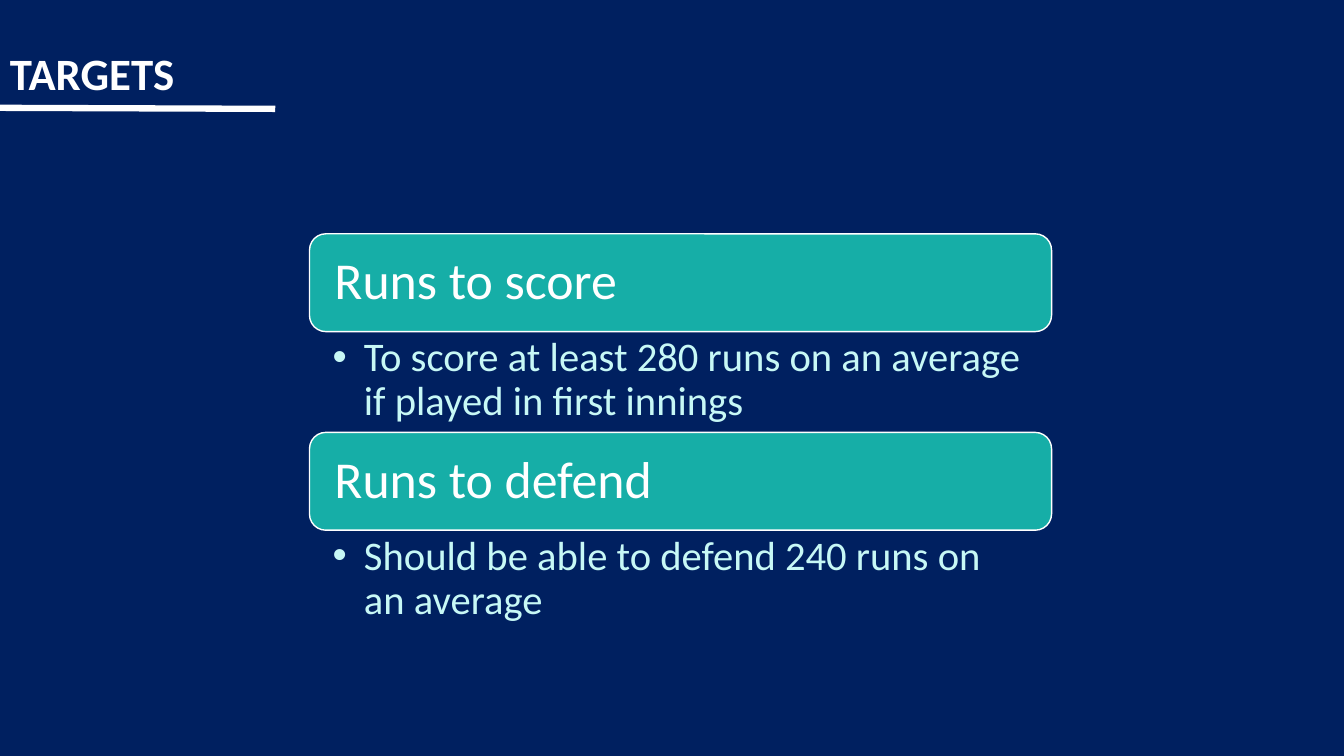
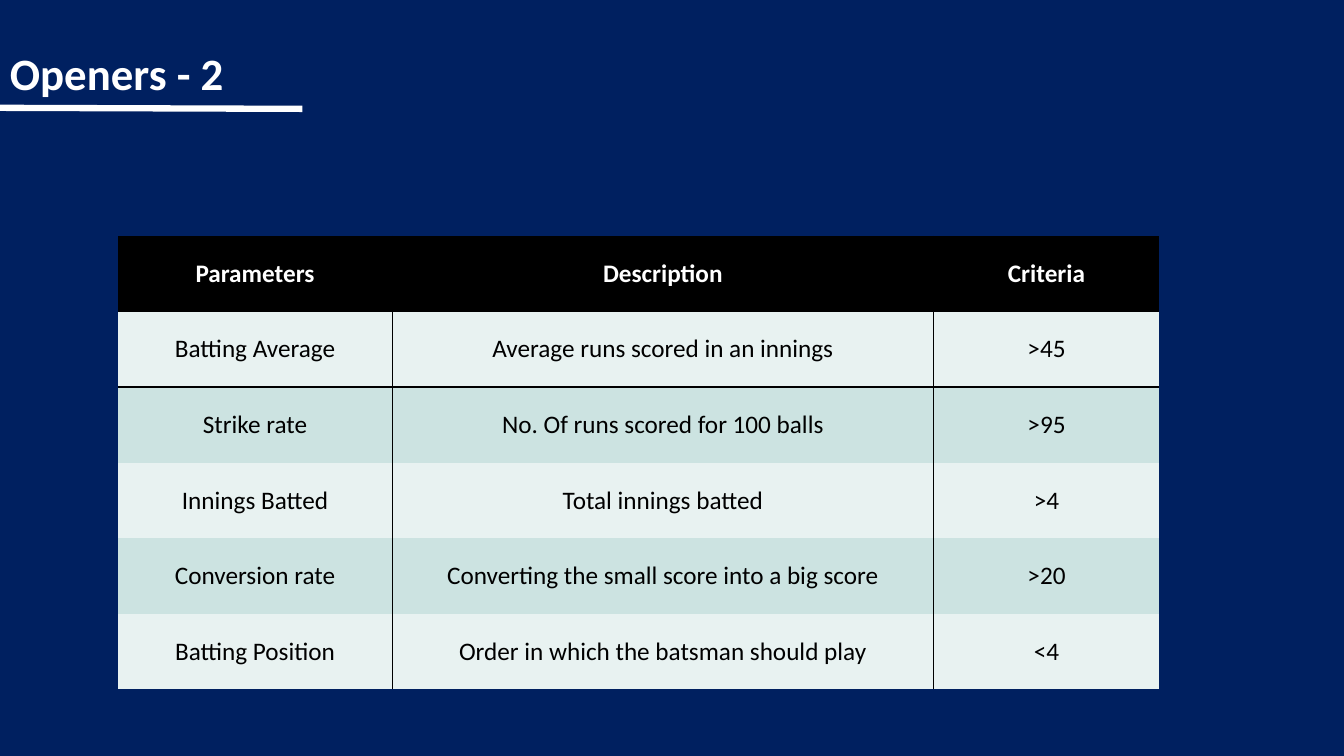
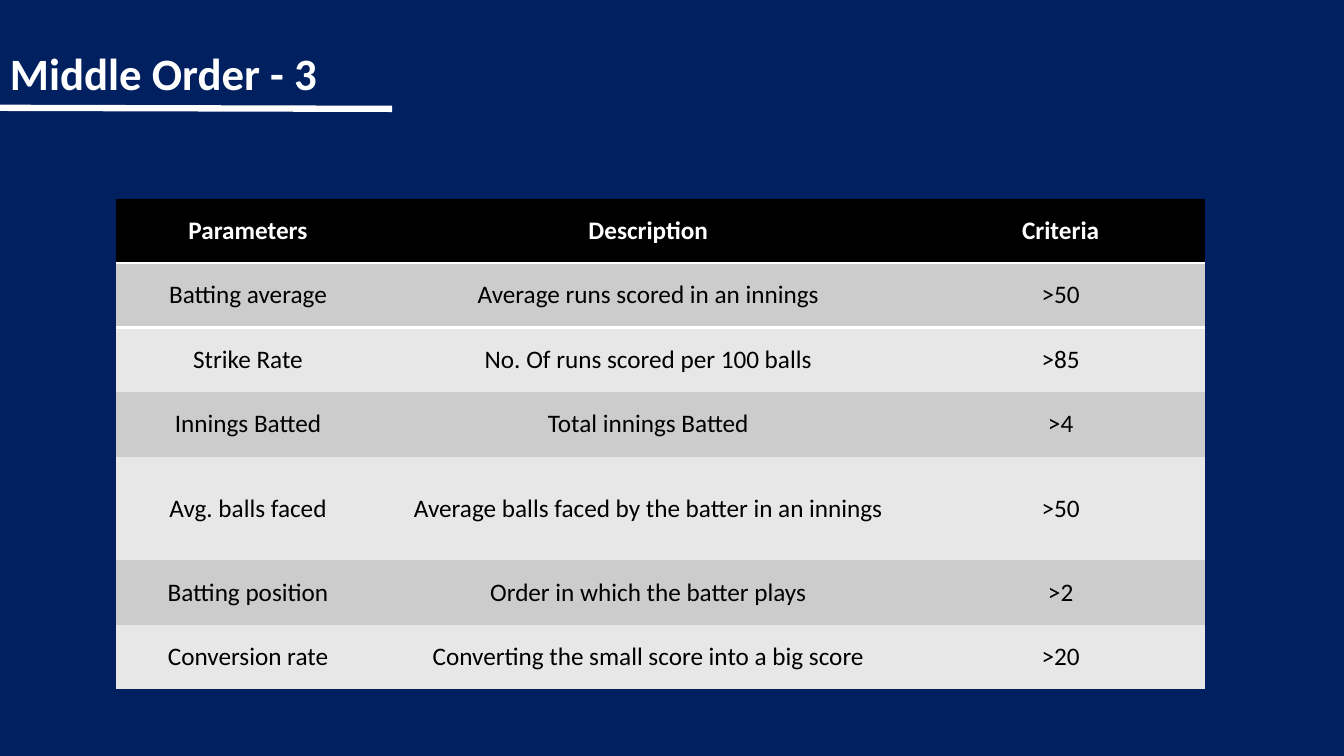
from lxml import etree
from pptx import Presentation
from pptx.dml.color import RGBColor
from pptx.enum.shapes import MSO_CONNECTOR, MSO_SHAPE
from pptx.enum.text import MSO_ANCHOR, PP_ALIGN
from pptx.oxml.ns import qn
from pptx.util import Inches, Pt

ROUNDED = MSO_SHAPE.ROUNDED_RECTANGLE
STRAIGHT = MSO_CONNECTOR.STRAIGHT
TOP, MIDDLE, BOTTOM = MSO_ANCHOR.TOP, MSO_ANCHOR.MIDDLE, MSO_ANCHOR.BOTTOM
LEFT, CENTER = PP_ALIGN.LEFT, PP_ALIGN.CENTER

NAVY = RGBColor(0x00, 0x20, 0x60)
WHITE = RGBColor(0xFF, 0xFF, 0xFF)
BLACK = RGBColor(0x00, 0x00, 0x00)
TEAL = RGBColor(0x16, 0xAE, 0xA7)
ICE = RGBColor(0xC7, 0xF8, 0xF6)
MINT = RGBColor(0xCC, 0xE3, 0xE1)
PALE_MINT = RGBColor(0xE8, 0xF2, 0xF1)
GREY = RGBColor(0xCC, 0xCC, 0xCC)
PALE_GREY = RGBColor(0xE7, 0xE7, 0xE7)

FONT = "Calibri"
PLAIN_TABLE = "{2D5ABB26-0587-4C30-8999-92F81FD0307C}"
HEADER = ("Parameters", "Description", "Criteria")


class Deck:
    def __init__(self):
        self.prs = Presentation()
        self.prs.slide_width = Inches(13.33)
        self.prs.slide_height = Inches(7.5)
        self.s = None

    def slide(self, title, rule_end):
        self.s = self.prs.slides.add_slide(self.prs.slide_layouts[6])
        fill = self.s.background.fill
        fill.solid()
        fill.fore_color.rgb = NAVY
        self.text_box(title, 0, 0, 9.72, 1.04, 32, WHITE, bold=True, anchor=BOTTOM)
        self.rule(rule_end)

    def set_text(self, tf, text, size, color, bold=False, align=LEFT):
        tf.text = text
        p = tf.paragraphs[0]
        p.alignment = align
        font = p.runs[0].font
        font.name, font.size, font.bold = FONT, Pt(size), bold
        font.color.rgb = color
        return p

    def text_box(self, text, x, y, w, h, size, color, bold=False, anchor=TOP):
        box = self.s.shapes.add_textbox(Inches(x), Inches(y), Inches(w), Inches(h))
        tf = box.text_frame
        tf.word_wrap = True
        tf.vertical_anchor = anchor
        self.set_text(tf, text, size, color, bold).line_spacing = 0.9
        return tf

    def rule(self, end):
        line = self.s.shapes.add_connector(
            STRAIGHT, 0, Inches(1.07), Inches(end), Inches(1.08))
        line.line.color.rgb = WHITE
        line.line.width = Pt(4.5)
        etree.SubElement(line._element.spPr, qn("a:effectLst"))

    def banner(self, text, x, y, w, h):
        sp = self.s.shapes.add_shape(ROUNDED, Inches(x), Inches(y), Inches(w), Inches(h))
        sp.shadow.inherit = False
        sp.fill.solid()
        sp.fill.fore_color.rgb = TEAL
        sp.line.color.rgb = WHITE
        sp.line.width = Pt(1)
        tf = sp.text_frame
        tf.word_wrap = True
        tf.vertical_anchor = MIDDLE
        tf.margin_left = tf.margin_right = Inches(0.2)
        self.set_text(tf, text, 37, WHITE).line_spacing = 0.9

    def bullet(self, text, x, y, w, h):
        tf = self.text_box(text, x, y, w, h, 29, ICE)
        tf.margin_left, tf.margin_right = Inches(0.23), Inches(0.29)
        pPr = tf.paragraphs[0]._p.get_or_add_pPr()
        pPr.set("marL", str(Inches(0.31)))
        pPr.set("indent", str(Inches(-0.31)))
        etree.SubElement(pPr, qn("a:buFont"), typeface="Arial")
        etree.SubElement(pPr, qn("a:buChar"), char="•")

    def border(self, cell, side, color, width):
        tcPr = cell._tc.get_or_add_tcPr()
        ln = etree.SubElement(tcPr, qn(f"a:ln{side}"), w=str(Pt(width)))
        fill = etree.SubElement(ln, qn("a:solidFill"))
        etree.SubElement(fill, qn("a:srgbClr"), val=str(color))

    def table(self, x, y, widths, heights, rows, bands, header_line, dividers=False):
        rows = [HEADER, *rows]
        frame = self.s.shapes.add_table(
            len(rows), len(widths), Inches(x), Inches(y),
            Inches(sum(widths)), Inches(sum(heights)))
        table = frame.table
        table.first_row = table.horz_banding = False
        table._tbl.tblPr.find(qn("a:tableStyleId")).text = PLAIN_TABLE
        for column, width in zip(table.columns, widths):
            column.width = Inches(width)
        for row, height in zip(table.rows, heights):
            row.height = Inches(height)
        for i, row in enumerate(rows):
            head = i == 0
            for j, text in enumerate(row):
                cell = table.cell(i, j)
                cell.vertical_anchor = MIDDLE
                self.set_text(cell.text_frame, text, 18, WHITE if head else BLACK,
                              head, CENTER)
                if dividers and j > 0:
                    self.border(cell, "L", BLACK, 1)
                if dividers and j < len(row) - 1:
                    self.border(cell, "R", BLACK, 1)
                if i == 1:
                    self.border(cell, "T", *header_line)
                if head:
                    self.border(cell, "B", *header_line)
                cell.fill.solid()
                cell.fill.fore_color.rgb = BLACK if head else bands[(i - 1) % 2]


def main():
    deck = Deck()

    deck.slide("TARGETS", 2.73)
    targets = [
        ("Runs to score",
         "To score at least 280 runs on an average if played in first innings"),
        ("Runs to defend", "Should be able to defend 240 runs on an average"),
    ]
    for i, (heading, detail) in enumerate(targets):
        y = 2.32 + 1.97 * i
        deck.banner(heading, 3.07, y, 7.36, 0.97)
        deck.bullet(detail, 3.07, y + 0.97, 7.36, 1.01)

    deck.slide("Openers - 2", 3)
    deck.table(1.17, 2.34, [2.72, 5.37, 2.24], [0.75] * 6, [
        ("Batting Average", "Average runs scored in an innings", ">45"),
        ("Strike rate", "No. Of runs scored for 100 balls", ">95"),
        ("Innings Batted", "Total innings batted", ">4"),
        ("Conversion rate", "Converting the small score into a big score", ">20"),
        ("Batting Position", "Order in which the batsman should play", "<4"),
    ], (PALE_MINT, MINT), (BLACK, 1), dividers=True)

    deck.slide("Middle Order - 3", 3.89)
    deck.table(1.15, 1.97, [2.62, 5.32, 2.86], [0.64] * 4 + [1.03] + [0.64] * 2, [
        ("Batting average", "Average runs scored in an innings", ">50"),
        ("Strike Rate", "No. Of runs scored per 100 balls", ">85"),
        ("Innings Batted", "Total innings Batted", ">4"),
        ("Avg. balls faced", "Average balls faced by the batter in an innings", ">50"),
        ("Batting position", "Order in which the batter plays", ">2"),
        ("Conversion rate", "Converting the small score into a big score", ">20"),
    ], (GREY, PALE_GREY), (WHITE, 2))

    deck.prs.save("out.pptx")


if __name__ == "__main__":
    main()
